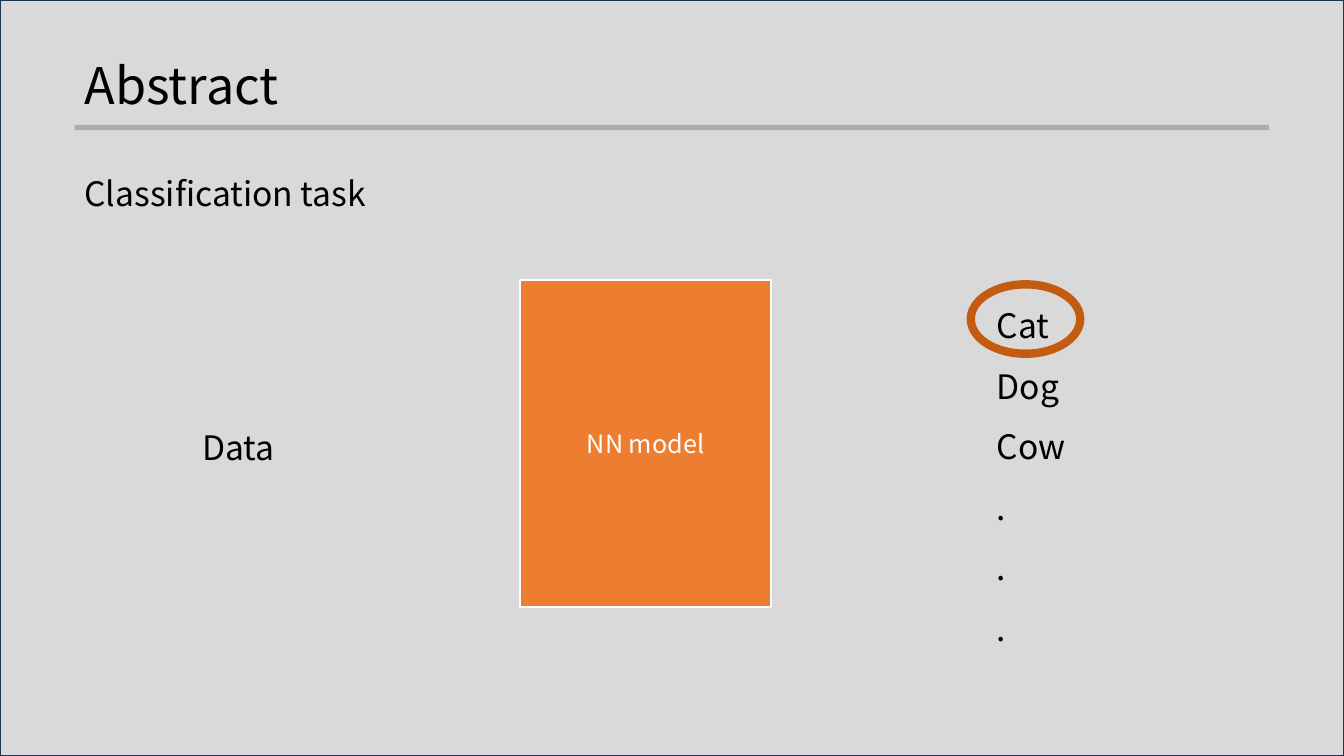
import pptx
import pptx.dml.color
import pptx.enum.shapes
import pptx.enum.text
import pptx.util

Cm = pptx.util.Cm
Pt = pptx.util.Pt
SHAPE = pptx.enum.shapes.MSO_SHAPE
ALIGN = pptx.enum.text.PP_ALIGN
ANCHOR = pptx.enum.text.MSO_ANCHOR
FIT = pptx.enum.text.MSO_AUTO_SIZE

WIDTH, HEIGHT = 33.87, 19.05
LEFT = 1.88
DIAGRAM_TOP = 7.06


def colour(code):
    return pptx.dml.color.RGBColor.from_string(code)


def apply(target, values):
    for name, value in values.items():
        setattr(target, name, value)


class SlideBuilder:
    font = "Noto Sans CJK KR"

    def __init__(self, deck):
        self.page = deck.slides.add_slide(deck.slide_layouts[5])

    def fill_text(self, box, lines, size, ink="000000", frame=None, para_format=None):
        text = box.text_frame
        apply(text, {"word_wrap": True, **(frame or {})})
        for index, line in enumerate(lines):
            para = text.add_paragraph() if index else text.paragraphs[0]
            apply(para, {"alignment": ALIGN.LEFT, **(para_format or {})})
            span = para.add_run()
            span.text = line
            apply(span.font, {"name": self.font, "size": Pt(size)})
            span.font.color.rgb = colour(ink)

    def title(self, words, left, top, width, height):
        box = self.page.shapes.title
        apply(box, {"left": Cm(left), "top": Cm(top),
                    "width": Cm(width), "height": Cm(height)})
        self.fill_text(box, [words], 36, frame={
            "vertical_anchor": ANCHOR.TOP, "auto_size": FIT.SHAPE_TO_FIT_TEXT})

    def text(self, lines, left, top, width, height):
        box = self.page.shapes.add_textbox(Cm(left), Cm(top), Cm(width), Cm(height))
        self.fill_text(box, lines, 24, frame={"auto_size": FIT.SHAPE_TO_FIT_TEXT},
                       para_format={"line_spacing": 1.5})

    def shape(self, kind, left, top, width, height, fill, line=None, line_width=1):
        shape = self.page.shapes.add_shape(kind, Cm(left), Cm(top), Cm(width), Cm(height))
        shape.shadow.inherit = False
        shape.fill.solid()
        shape.fill.fore_color.rgb = colour(fill)
        if line:
            shape.line.color.rgb = colour(line)
            shape.line.width = Pt(line_width)
        else:
            shape.line.fill.background()
        return shape

    def backdrop(self, fill, line):
        panel = self.shape(SHAPE.RECTANGLE, 0, 0, WIDTH, HEIGHT, fill, line)
        self.page.shapes.title.element.addprevious(panel.element)


def main():
    deck = pptx.Presentation()
    apply(deck, {"slide_width": Cm(WIDTH), "slide_height": Cm(HEIGHT)})
    slide = SlideBuilder(deck)

    # Backdrop and heading
    slide.backdrop("D9D9D9", "1E3256")
    slide.title("Abstract", LEFT, 1.24, 22.71, 1.8)
    slide.shape(SHAPE.RECTANGLE, LEFT, 3.15, 30.1, 0.13, "AFABAB")

    # Model
    model = slide.shape(SHAPE.RECTANGLE, 13.11, DIAGRAM_TOP, 6.32, 8.23,
                        "ED7D31", "FFFFFF", 1.5)
    slide.fill_text(model, ["NN model"], 18, "FFFFFF",
                    {"vertical_anchor": ANCHOR.MIDDLE}, {"alignment": ALIGN.CENTER})

    # Task, input and classes
    slide.text(["Classification task"], LEFT, 3.73, 29.18, 1.55)
    slide.text(["Data"], 4.85, 10.13, 29, 1.55)
    slide.text(["Cat", "Dog", "Cow", ".", ".", "."], 24.87, DIAGRAM_TOP, 3.3, 9.25)

    # Ring around the predicted class
    ring = slide.shape(SHAPE.DONUT, 24.36, DIAGRAM_TOP, 2.97, 1.96, "C55A11")
    ring.adjustments[0] = 0.108

    deck.save("out.pptx")


if __name__ == "__main__":
    main()
